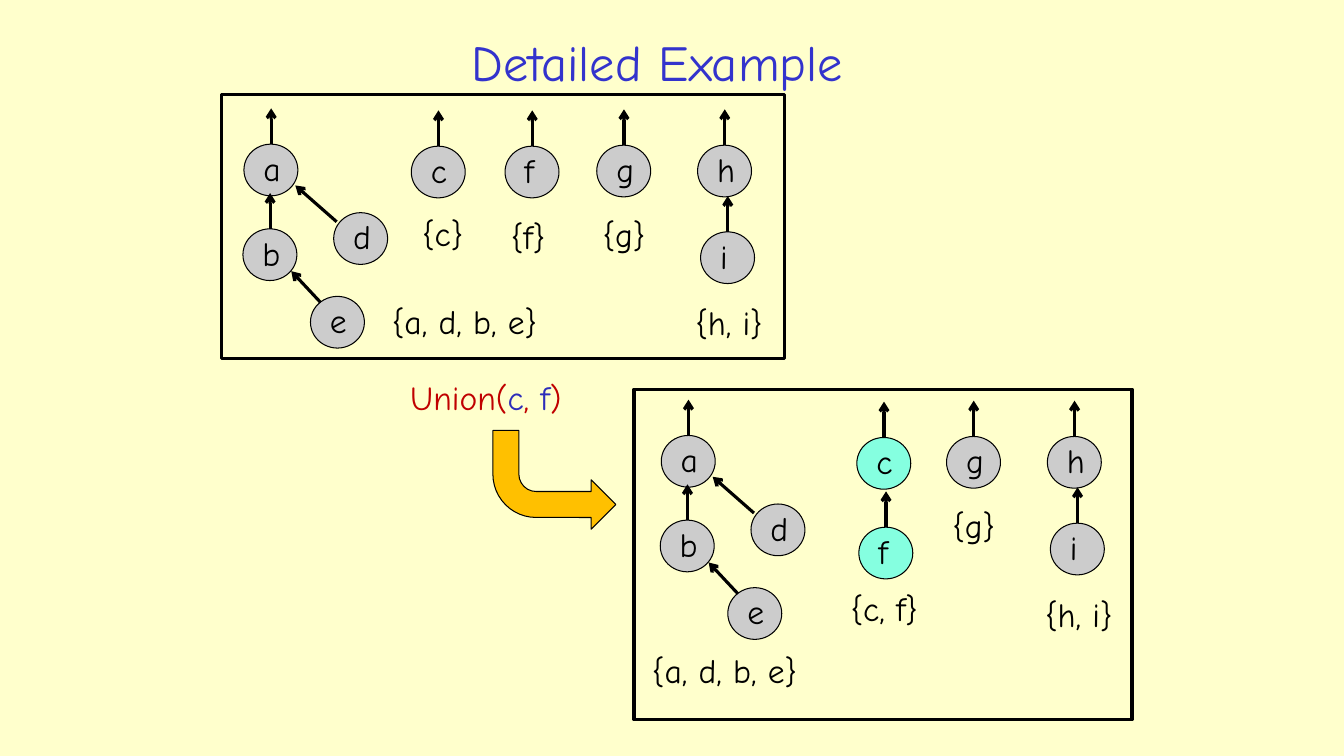
from lxml import etree
from pptx import Presentation
from pptx import util as u
from pptx.dml.color import RGBColor
from pptx.enum import shapes, text
from pptx.oxml.ns import qn

COLORS = {
    "page": "FFFFCC", "title": "3333CC", "call": "C00000", "argument": "2D2DB9",
    "ink": "000000", "node": "CCCCCC", "merged": "85FFE0", "turn": "FFC000",
}
COLUMNS, ROWS = 133.33, 75
NODE_WIDTH, NODE_HEIGHT = 5.35, 5.13
LETTER_WIDTHS = {"a": 3.7, "b": 4, "c": 3.8, "d": 4, "e": 3.9, "f": 3.7, "g": 3.8, "h": 4, "i": 3}
UP = ((2.7, 0), (2.7, -3.55))
TO_A = ((0.3, 0.9), (-3.8, -2.7))
TO_B = ((1, 0.6), (-1.9, -2.5))

BIG_TREE = [("a", 24.2, 14.3, UP), ("b", 24.1, 22.7, UP),
            ("d", 33.1, 21.1, TO_A), ("e", 30.8, 29.4, TO_B)]
SMALL_TREES = [("g", 59.2, 14.4, UP), ("h", 69.2, 14.4, UP), ("i", 69.5, 23, UP)]
SMALL_SETS = [("{g}", 58.8, 20.7, 6.3), ("{h, i}", 68, 29.5, 9.3)]
SINGLES = [("c", 40.8, 14.5, UP), ("f", 50.1, 14.5, UP)]
SINGLE_SETS = [("{c}", 40.9, 20.6, 6.2), ("{f}", 49.7, 20.9, 6.2)]
MERGED = [("c", 85, 43.4, UP), ("f", 85.2, 52.3, UP)]


class ForestSlide:
    """Draws disjoint-set forests on one slide, measured in grid columns and rows."""

    def __init__(self, deck):
        self.font, self.size = "Comic Neue", 24
        self.column = deck.slide_width / COLUMNS
        self.row = deck.slide_height / ROWS
        self.slide = deck.slides.add_slide(deck.slide_layouts[6])
        self.slide.background.fill.solid()
        self.slide.background.fill.fore_color.rgb = self.color("page")

    def color(self, name):
        return RGBColor.from_string(COLORS[name])

    def place(self, *lengths):
        return [u.Emu(round(length * (self.row if i % 2 else self.column)))
                for i, length in enumerate(lengths)]

    def label(self, parts, left, top, width, height=5.05, size=None, centred=False):
        frame = self.slide.shapes.add_textbox(*self.place(left, top, width, height)).text_frame
        frame.word_wrap = centred
        line = frame.paragraphs[0]
        if centred:
            frame.vertical_anchor = text.MSO_ANCHOR.MIDDLE
            line.alignment = text.PP_ALIGN.CENTER
        else:
            frame.auto_size = text.MSO_AUTO_SIZE.SHAPE_TO_FIT_TEXT
        for words, color in parts:
            run = line.add_run()
            run.text = words
            run.font.name = self.font
            run.font.size = u.Pt(size or self.size)
            run.font.color.rgb = self.color(color)

    def shape(self, kind, left, top, width, height, fill=None, weight=0.75):
        figure = self.slide.shapes.add_shape(kind, *self.place(left, top, width, height))
        figure.shadow.inherit = False
        if fill:
            figure.fill.solid()
            figure.fill.fore_color.rgb = self.color(fill)
        else:
            figure.fill.background()
        figure.line.color.rgb = self.color("ink")
        figure.line.width = u.Pt(weight)
        return figure

    def arrow(self, start, end):
        link = self.slide.shapes.add_connector(
            shapes.MSO_CONNECTOR.STRAIGHT, *self.place(*start, *end))
        link.line.color.rgb = self.color("ink")
        link.line.width = u.Pt(2.25)
        etree.SubElement(link.line._get_or_add_ln(), qn("a:tailEnd"), type="arrow")
        etree.SubElement(link._element.spPr, qn("a:effectLst"))

    def nodes(self, members, right=0, down=0, fill="node"):
        for letter, left, top, parent in members:
            x, y = left + right, top + down
            self.shape(shapes.MSO_SHAPE.OVAL, x, y, NODE_WIDTH, NODE_HEIGHT, fill)
            self.label([(letter, "ink")], x + 0.95, y - 0.13, LETTER_WIDTHS[letter])
            self.arrow(*((x + dx, y + dy) for dx, dy in parent))

    def sets(self, names, right=0, down=0):
        for name, left, top, width in names:
            self.label([(name, "ink")], left + right, top + down, width)

    def frame(self, left, top, width, height):
        self.shape(shapes.MSO_SHAPE.RECTANGLE, left, top, width, height, weight=2.25)

    def turn(self, left, top, width, height):
        bend = self.shape(shapes.MSO_SHAPE.BENT_ARROW, left, top, width, height, "turn")
        for i, share in enumerate((0.263, 0.25, 0.25, 0.438)):
            bend.adjustments[i] = share
        bend._element.spPr.find(qn("a:xfrm")).set("flipV", "1")


def main():
    deck = Presentation()
    deck.slide_width, deck.slide_height = u.Inches(13.33), u.Inches(7.5)
    page = ForestSlide(deck)
    page.label([("Detailed Example", "title")], 20.4, 2.6, 89.6, 6.9, 36, centred=True)
    page.label([("Union(", "call"), ("c", "argument"), (", ", "call"),
                ("f", "argument"), (")", "call")], 39.7, 36.9, 18.6)

    for tree_shift, small_shift in (((0, 0), (0, 0)), ((41.4, 28.9), (34.7, 28.9))):
        page.nodes(BIG_TREE, *tree_shift)
        page.nodes(SMALL_TREES, *small_shift)
        page.sets(SMALL_SETS, *small_shift)

    page.nodes(SINGLES)
    page.sets(SINGLE_SETS + [("{a, d, b, e}", 37.9, 29.4, 17.8)])
    page.nodes(MERGED, fill="merged")
    page.sets([("{c, f}", 83.4, 57.8, 9.9), ("{a, d, b, e}", 63.7, 64, 17.8)])
    page.frame(22, 9.4, 55.8, 26.2)
    page.frame(62.9, 38.6, 49.4, 32.8)
    page.turn(48.9, 42.7, 12.2, 9.8)
    deck.save("out.pptx")


if __name__ == "__main__":
    main()
